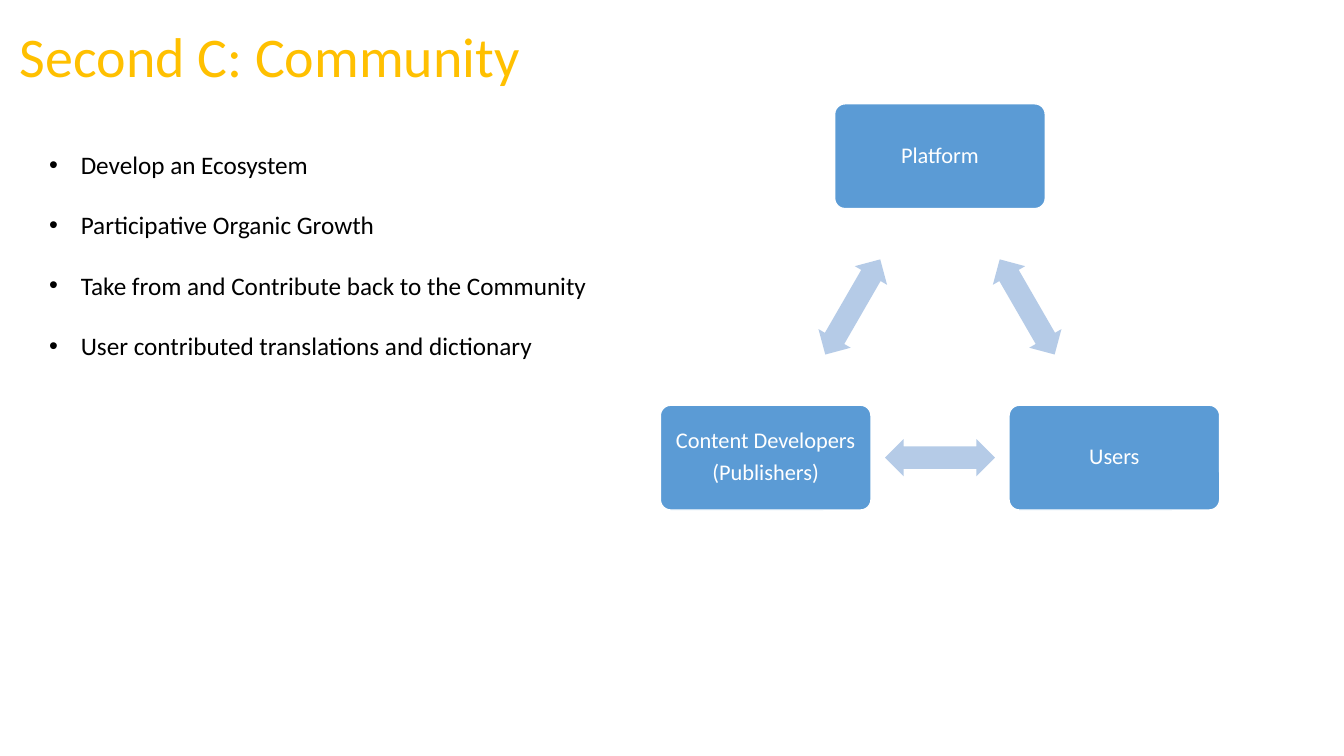
from math import atan2, degrees

from lxml.etree import SubElement
from pptx import Presentation
from pptx.dml.color import RGBColor
from pptx.enum.shapes import MSO_SHAPE
from pptx.enum.text import MSO_ANCHOR, PP_ALIGN
from pptx.oxml.ns import qn
from pptx.util import Pt

GOLD = RGBColor(0xFF, 0xC0, 0x00)
BLUE = RGBColor(0x5B, 0x9B, 0xD5)
PALE_BLUE = RGBColor(0xB5, 0xCB, 0xE7)
WHITE = RGBColor(0xFF, 0xFF, 0xFF)
BLACK = RGBColor(0x00, 0x00, 0x00)

BOX_WIDTH, BOX_HEIGHT = 150.5, 74.9
ARROW_WIDTH, ARROW_HEIGHT = 78.5, 26.6
BULLET_INDENT = 22.5

BULLETS = [
    "Develop an Ecosystem",
    "Participative Organic Growth",
    "Take from and Contribute back to the Community",
    "User contributed translations and dictionary",
]
# Label and centre of each corner, clockwise from the top
CORNERS = [
    ("Platform", (671.4, 111.6)),
    ("Users", (796, 326.9)),
    ("Content Developers\n(Publishers)", (546.9, 326.9)),
]


def write_text(text_frame, text, size, color, align=PP_ALIGN.LEFT,
               line_spacing=1.0, space_after=0, bullet=None):
    """Write each line of text as one paragraph."""
    for index, line in enumerate(text.split("\n")):
        paragraph = text_frame.add_paragraph() if index else text_frame.paragraphs[0]
        paragraph.alignment = align
        paragraph.line_spacing = line_spacing
        paragraph.space_after = Pt(space_after)
        run = paragraph.add_run()
        run.text = line
        run.font.name = "Calibri"
        run.font.size = Pt(size)
        run.font.color.rgb = color
        if bullet:
            properties = paragraph._p.get_or_add_pPr()
            properties.set("marL", str(Pt(BULLET_INDENT)))
            properties.set("indent", str(-Pt(BULLET_INDENT)))
            SubElement(properties, qn("a:buFont"), typeface="Arial")
            SubElement(properties, qn("a:buChar"), char=bullet)


class SlideBuilder:
    def __init__(self, slide):
        self.slide = slide

    def text_box(self, left, top, width, height, text, anchor=MSO_ANCHOR.TOP,
                 **text_format):
        shape = self.slide.shapes.add_textbox(Pt(left), Pt(top), Pt(width), Pt(height))
        shape.text_frame.word_wrap = True
        shape.text_frame.vertical_anchor = anchor
        write_text(shape.text_frame, text, **text_format)

    def centred_shape(self, kind, centre, width, height, fill, adjustments):
        x, y = centre
        shape = self.slide.shapes.add_shape(
            kind, Pt(x - width / 2), Pt(y - height / 2), Pt(width), Pt(height))
        shape.shadow.inherit = False
        shape.fill.solid()
        shape.fill.fore_color.rgb = fill
        shape.line.fill.background()
        for index, value in enumerate(adjustments):
            shape.adjustments[index] = value
        return shape

    def corner_box(self, label, centre):
        shape = self.centred_shape(MSO_SHAPE.ROUNDED_RECTANGLE, centre,
                                   BOX_WIDTH, BOX_HEIGHT, BLUE, [0.1])
        shape.line.color.rgb = WHITE
        shape.line.width = Pt(1)
        frame = shape.text_frame
        frame.word_wrap = True
        frame.vertical_anchor = MSO_ANCHOR.MIDDLE
        frame.margin_left = frame.margin_right = Pt(5)
        frame.margin_top = frame.margin_bottom = Pt(5)
        write_text(frame, label, size=16, color=WHITE, align=PP_ALIGN.CENTER,
                   line_spacing=0.9, space_after=5.6)

    def arrow_between(self, start, end):
        """Place a double arrow halfway between two centres, along their line."""
        middle = ((start[0] + end[0]) / 2, (start[1] + end[1]) / 2)
        shape = self.centred_shape(MSO_SHAPE.LEFT_RIGHT_ARROW, middle,
                                   ARROW_WIDTH, ARROW_HEIGHT, PALE_BLUE, [0.6, 0.5])
        shape.rotation = round(degrees(atan2(end[1] - start[1], end[0] - start[0]))) % 360


def main():
    presentation = Presentation()
    presentation.slide_width = Pt(960)
    presentation.slide_height = Pt(540)
    builder = SlideBuilder(presentation.slides.add_slide(presentation.slide_layouts[6]))

    builder.text_box(7.2, 14.4, 828, 56.2, "Second C: Community",
                     anchor=MSO_ANCHOR.MIDDLE, size=40, color=GOLD, line_spacing=0.9)
    for index, (label, centre) in enumerate(CORNERS):
        builder.corner_box(label, centre)
        next_centre = CORNERS[(index + 1) % len(CORNERS)][1]
        builder.arrow_between(centre, next_centre)
    builder.text_box(28.1, 103, 402.5, 159.8, "\n".join(BULLETS), size=18,
                     color=BLACK, space_after=21.6, bullet="•")

    presentation.save("out.pptx")


if __name__ == "__main__":
    main()
